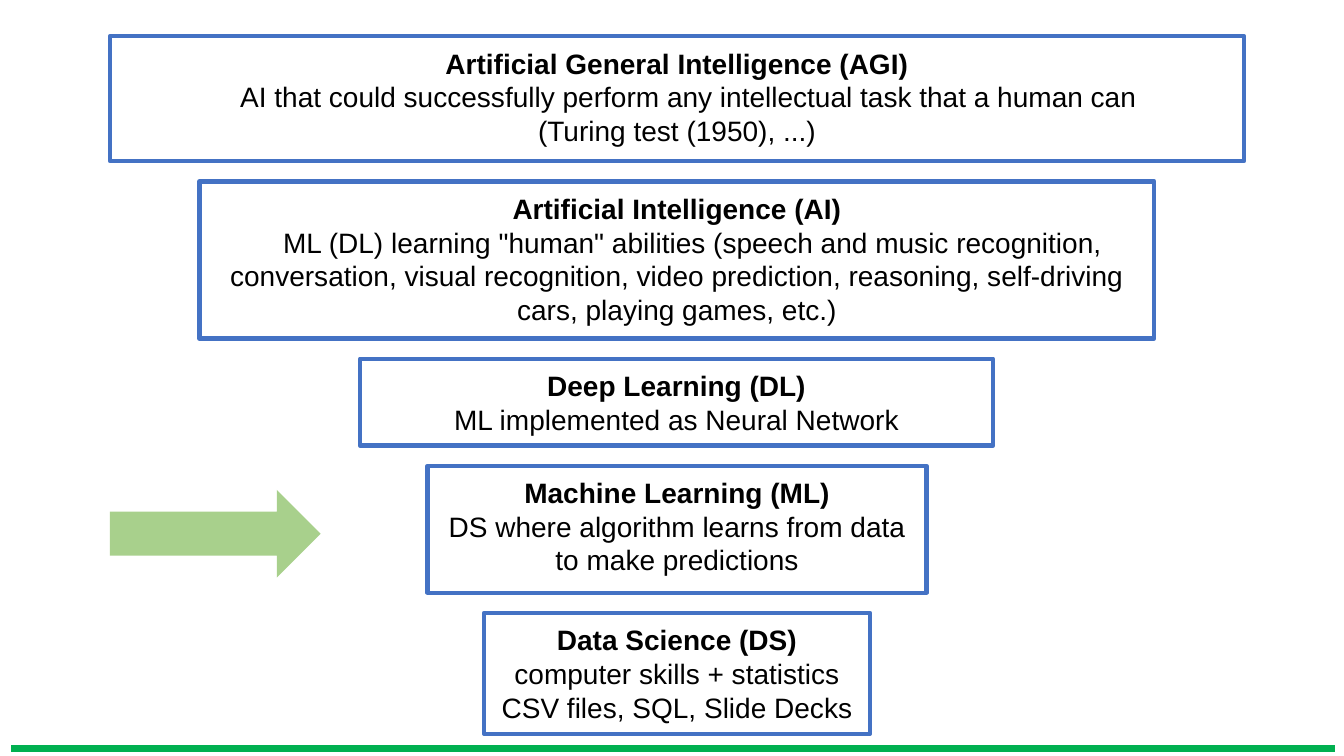
from dataclasses import dataclass

from lxml.etree import SubElement
from pptx import Presentation
from pptx.dml.color import RGBColor
from pptx.enum.shapes import MSO_CONNECTOR, MSO_SHAPE
from pptx.enum.text import MSO_ANCHOR, PP_ALIGN
from pptx.oxml.ns import qn
from pptx.util import Pt

SCALE = 9144  # EMU per px, 100 px to the inch


def px(num):
    return int(num * SCALE)


@dataclass(frozen=True)
class Theme:
    font: str = "Arial"
    size: int = 20
    text: str = "000000"
    paper: str = "FFFFFF"
    frame: str = "4472C4"
    arrow: str = "A8D08C"
    rule: str = "00B050"
    edge: int = 3
    bar: int = 5


class Board:
    def __init__(self, slide, theme):
        self.slide = slide
        self.theme = theme

    def shape(self, kind, left, top, width, height):
        item = self.slide.shapes.add_shape(
            kind, px(left), px(top), px(width), px(height))
        item.shadow.inherit = False
        return item

    def box(self, left, top, width, height, title, lines, indent=0):
        item = self.shape(MSO_SHAPE.RECTANGLE, left, top, width, height)
        item.fill.background()
        item.line.color.rgb = RGBColor.from_string(self.theme.frame)
        item.line.width = Pt(self.theme.edge)
        frame = item.text_frame
        frame.word_wrap = True
        frame.vertical_anchor = MSO_ANCHOR.TOP
        frame.margin_left = frame.margin_right = px(10)
        frame.margin_top = frame.margin_bottom = px(10)
        frame.text = "\n".join([title, *lines])
        for row, para in enumerate(frame.paragraphs):
            para.alignment = PP_ALIGN.CENTER
            if row == 1 and indent:
                para._p.get_or_add_pPr().set("indent", str(px(indent)))
            for run in para.runs:
                run.font.name = self.theme.font
                run.font.size = Pt(self.theme.size)
                run.font.bold = row == 0
                run.font.color.rgb = RGBColor.from_string(self.theme.text)

    def arrow(self, left, top, width, height):
        item = self.shape(MSO_SHAPE.RIGHT_ARROW, left, top, width, height)
        item.fill.solid()
        item.fill.fore_color.rgb = RGBColor.from_string(self.theme.arrow)
        item.line.fill.background()

    def rule(self, left, right, top):
        line = self.slide.shapes.add_connector(
            MSO_CONNECTOR.STRAIGHT, px(left), px(top), px(right), px(top))
        line.line.color.rgb = RGBColor.from_string(self.theme.rule)
        line.line.width = Pt(self.theme.bar)
        SubElement(line._element.spPr, qn("a:effectLst"))


# Levels from top to bottom: width, height, first-line indent, title, lines
LEVELS = [
    (1125, 124, 23, "Artificial General Intelligence (AGI)",
     ["AI that could successfully perform any intellectual task "
      "that a human can", "(Turing test (1950), ...)"]),
    (947, 156, 31, "Artificial Intelligence (AI)",
     ['ML (DL) learning "human" abilities (speech and music recognition, '
      "conversation, visual recognition, video prediction, reasoning, "
      "self-driving cars, playing games, etc.)"]),
    (628, 86, 0, "Deep Learning (DL)", ["ML implemented as Neural Network"]),
    (495, 126, 0, "Machine Learning (ML)",
     ["DS where algorithm learns from data to make predictions"]),
    (383, 120, 0, "Data Science (DS)",
     ["computer skills + statistics", "CSV files, SQL, Slide Decks"]),
]
AXIS, START, GAP = 1343, 36, 20  # AXIS is twice the centre line


def main():
    deck = Presentation()
    deck.slide_width, deck.slide_height = px(1333), px(750)
    theme = Theme()
    slide = deck.slides.add_slide(deck.slide_layouts[6])
    slide.background.fill.solid()
    slide.background.fill.fore_color.rgb = RGBColor.from_string(theme.paper)
    board = Board(slide, theme)

    # Funnel of centred boxes
    top = START
    for width, height, indent, title, lines in LEVELS:
        board.box((AXIS - width) // 2, top, width, height,
                  title, lines, indent)
        top += height + GAP

    # Pointer to machine learning and bottom rule
    board.arrow(109, 486, 209, 87)
    board.rule(11, 1324, 743)

    deck.save("out.pptx")


if __name__ == "__main__":
    main()
